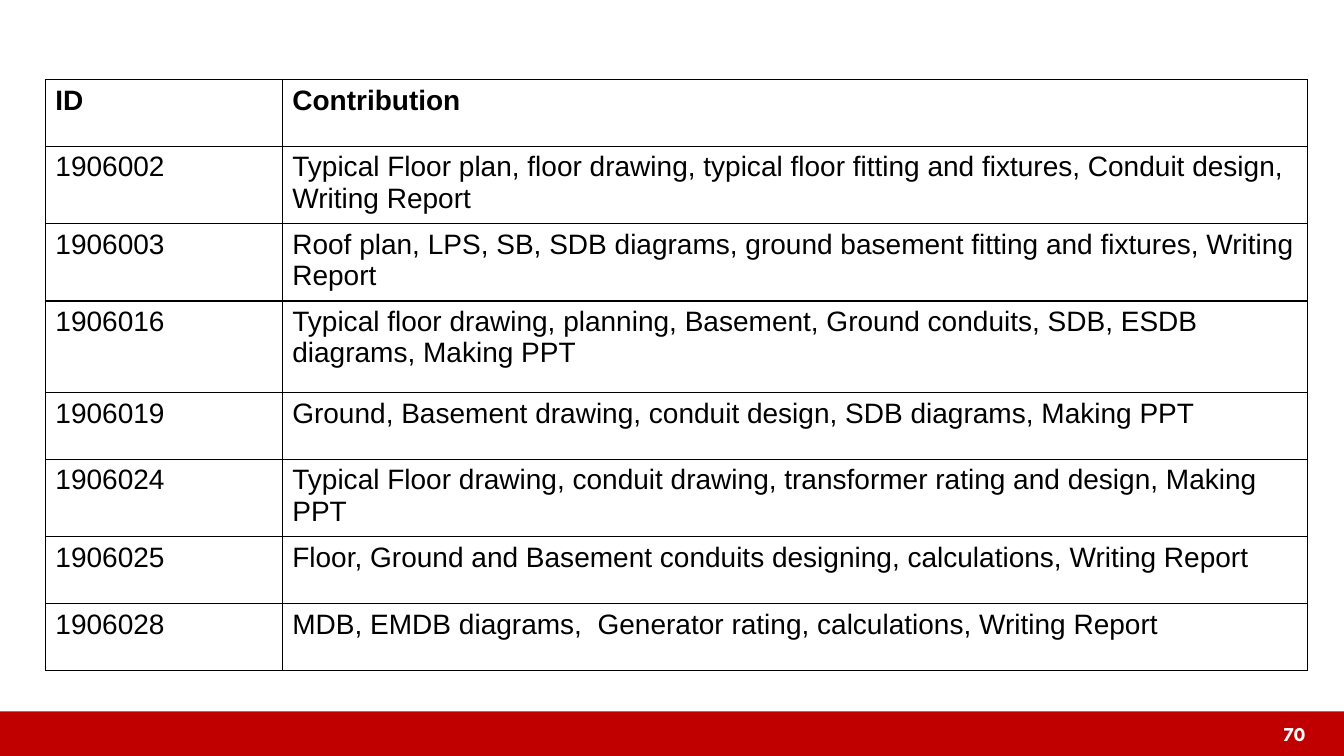
from lxml import etree
from pptx import Presentation
from pptx.dml.color import RGBColor
from pptx.enum.shapes import MSO_SHAPE
from pptx.enum.text import MSO_ANCHOR, PP_ALIGN
from pptx.oxml.ns import qn
from pptx.util import Pt

RECTANGLE = MSO_SHAPE.RECTANGLE
BOTTOM = MSO_ANCHOR.BOTTOM
RIGHT = PP_ALIGN.RIGHT

SLIDE_WIDTH, SLIDE_HEIGHT = 960, 540
BLANK_LAYOUT = 6
BLACK, WHITE, RED = "000000", "FFFFFF", "C00000"
BORDER_WIDTH = 1
COLUMN_WIDTHS = (169.2, 732.2)
ROW_HEIGHTS = (47.7, 54.7, 47.7, 65.5, 47.7, 47.7, 47.7, 47.7)
CONTRIBUTIONS = (
    ("ID", "Contribution"),
    ("1906002", "Typical Floor plan, floor drawing, typical floor fitting and fixtures, "
                "Conduit design, Writing Report"),
    ("1906003", "Roof plan, LPS, SB, SDB diagrams, ground basement fitting and fixtures, "
                "Writing Report"),
    ("1906016", "Typical floor drawing, planning, Basement, Ground conduits, SDB, ESDB "
                "diagrams, Making PPT"),
    ("1906019", "Ground, Basement drawing, conduit design, SDB diagrams, Making PPT"),
    ("1906024", "Typical Floor drawing, conduit drawing, transformer rating and design, "
                "Making PPT"),
    ("1906025", "Floor, Ground and Basement conduits designing, calculations, Writing Report"),
    ("1906028", "MDB, EMDB diagrams,  Generator rating, calculations, Writing Report"),
)


def color(hex_string):
    """Return the colour for a hex string."""
    return RGBColor.from_string(hex_string)


def add_run(paragraph, text, font_name, size, hex_string, bold):
    """Add one formatted run to a paragraph."""
    run = paragraph.add_run()
    run.text = text
    run.font.name = font_name
    run.font.size = Pt(size)
    run.font.bold = bold
    run.font.color.rgb = color(hex_string)


def add_borders(cell):
    """Draw a thin black line on all four sides of a cell."""
    properties = cell._tc.get_or_add_tcPr()
    for position, side in enumerate(("a:lnL", "a:lnR", "a:lnT", "a:lnB")):
        line = etree.Element(qn(side), w=str(Pt(BORDER_WIDTH)))
        fill = etree.SubElement(line, qn("a:solidFill"))
        etree.SubElement(fill, qn("a:srgbClr"), val=BLACK)
        properties.insert(position, line)


def add_contribution_table(slide, left, top):
    """Place the table of contributions with its corner at the given point."""
    frame = slide.shapes.add_table(
        len(CONTRIBUTIONS), len(COLUMN_WIDTHS), Pt(left), Pt(top),
        Pt(sum(COLUMN_WIDTHS)), Pt(sum(ROW_HEIGHTS)))
    table = frame.table
    table.horz_banding = False
    for column, width in zip(table.columns, COLUMN_WIDTHS):
        column.width = Pt(width)
    for index, (row, height) in enumerate(zip(table.rows, ROW_HEIGHTS)):
        row.height = Pt(height)
        for cell, text in zip(row.cells, CONTRIBUTIONS[index]):
            cell.fill.background()
            add_borders(cell)
            add_run(cell.text_frame.paragraphs[0], text, "Arial", 20, BLACK, index == 0)


def add_footer(slide, left, top, width, height):
    """Place the red footer bar and the slide number at its right end."""
    bar = slide.shapes.add_shape(RECTANGLE, Pt(left), Pt(top), Pt(width), Pt(height))
    bar.shadow.inherit = False
    bar.fill.solid()
    bar.fill.fore_color.rgb = color(RED)
    bar.line.fill.background()
    number = slide.shapes.add_textbox(
        Pt(left + width - 61.4), Pt(top + 3.6), Pt(41), Pt(24.5))
    number.text_frame.word_wrap = True
    number.text_frame.vertical_anchor = BOTTOM
    paragraph = number.text_frame.paragraphs[0]
    paragraph.alignment = RIGHT
    add_run(paragraph, "70", "League Spartan", 14, WHITE, True)


def main():
    """Build the slide and save it."""
    presentation = Presentation()
    presentation.slide_width = Pt(SLIDE_WIDTH)
    presentation.slide_height = Pt(SLIDE_HEIGHT)
    slide = presentation.slides.add_slide(presentation.slide_layouts[BLANK_LAYOUT])
    add_footer(slide, 0, 508.2, SLIDE_WIDTH, SLIDE_HEIGHT - 508.2)
    add_contribution_table(slide, 32.4, 56.9)
    presentation.save("out.pptx")


if __name__ == "__main__":
    main()
